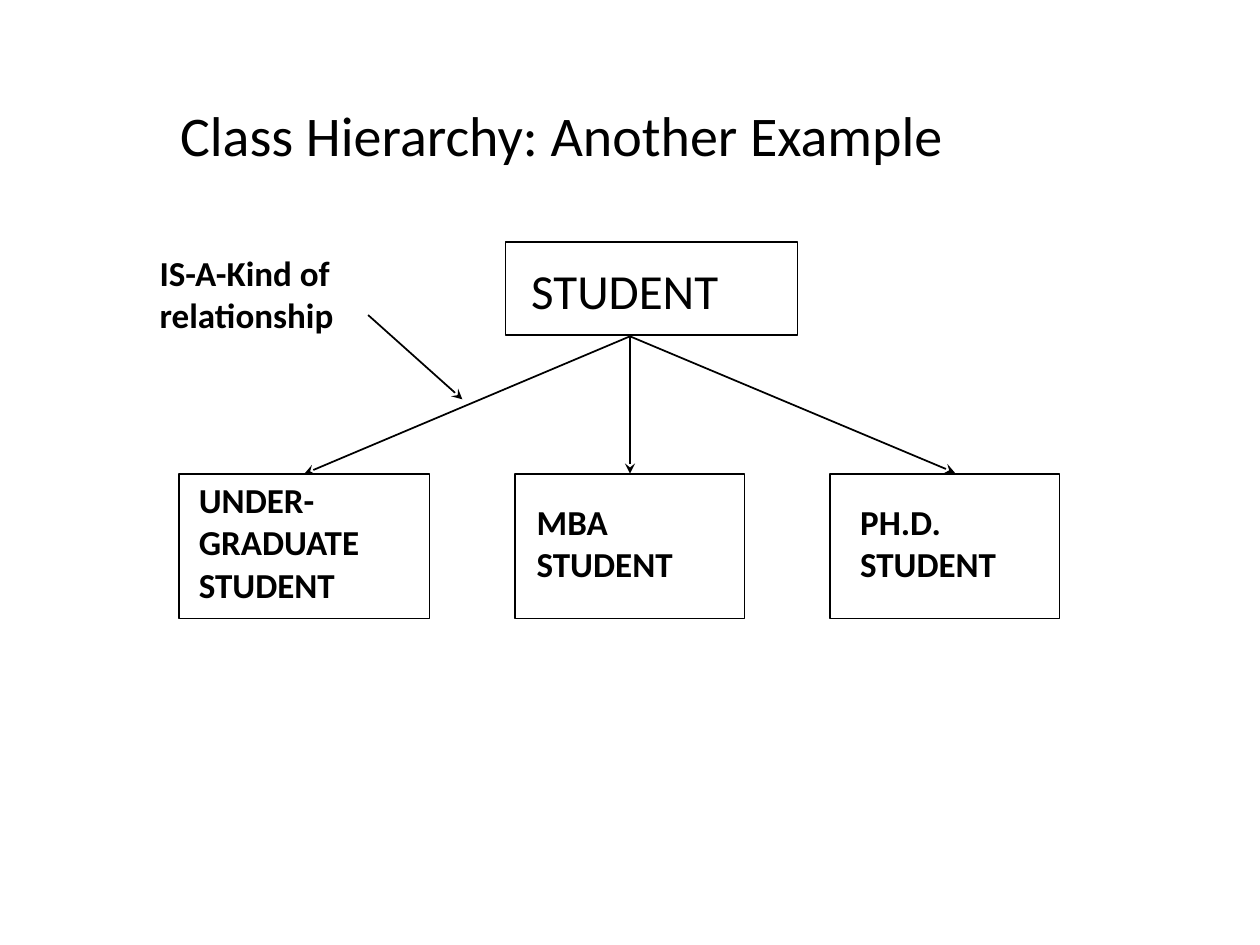
from lxml.etree import SubElement
from pptx import Presentation
from pptx.dml.color import RGBColor
from pptx.enum.shapes import MSO_CONNECTOR as Connector, MSO_SHAPE as Shape
from pptx.oxml.ns import qn
from pptx.util import Cm, Pt

BLACK = RGBColor(0x00, 0x00, 0x00)
WHITE = RGBColor(0xFF, 0xFF, 0xFF)


class Diagram:
    font = "Calibri"
    line_width = Pt(1)

    def __init__(self, slide):
        self.shapes = slide.shapes

    def box(self, x, y, w, h):
        sp = self.shapes.add_shape(Shape.RECTANGLE, Cm(x), Cm(y), Cm(w), Cm(h))
        sp.shadow.inherit = False
        sp.fill.solid()
        sp.fill.fore_color.rgb = WHITE
        sp.line.color.rgb = BLACK
        sp.line.width = self.line_width
        return sp

    def arrow(self, start, end, target=None):
        """Draw an arrow, joined to the top of target if one is given."""
        points = [Cm(v) for v in (*start, *end)]
        cxn = self.shapes.add_connector(Connector.STRAIGHT, *points)
        if target is not None:
            cxn.end_connect(target, 0)
        cxn.line.color.rgb = BLACK
        cxn.line.width = self.line_width
        SubElement(cxn.line._get_or_add_ln(), qn("a:tailEnd"), type="stealth")
        SubElement(cxn._element.spPr, qn("a:effectLst"))

    def text(self, text, x, y, w, h, size=20, bold=True):
        tf = self.shapes.add_textbox(Cm(x), Cm(y), Cm(w), Cm(h)).text_frame
        tf.word_wrap = True
        tf.text = text
        for p in tf.paragraphs:
            for r in p.runs:
                r.font.name = self.font
                r.font.size = Pt(size)
                r.font.bold = bold
                r.font.color.rgb = BLACK


def main():
    prs = Presentation()
    prs.slide_width, prs.slide_height = Cm(25.4), Cm(19.05)
    d = Diagram(prs.slides.add_slide(prs.slide_layouts[6]))

    d.box(10.19, 4.88, 5.89, 1.88)
    undergraduate, mba, _ = [
        d.box(x, 9.55, w, 2.92)
        for x, w in ((3.61, 5.05), (10.39, 4.62), (16.74, 4.62))
    ]

    root = (12.7, 6.78)
    for x, target in ((12.7, mba), (6.15, undergraduate), (19.25, None)):
        d.arrow(root, (x, 9.53), target)

    d.text("STUDENT", 10.46, 5.13, 5.18, 1.45, size=28, bold=False)
    d.text("UNDER-GRADUATE\nSTUDENT", 3.76, 9.53, 5.54, 2.79)
    d.text("MBA STUDENT", 10.57, 9.96, 4.27, 1.96)
    d.text("PH.D.\nSTUDENT", 17.09, 9.96, 3.86, 1.96)

    d.text("IS-A-Kind of relationship", 2.97, 4.95, 5.92, 3.73)
    d.arrow((7.42, 6.35), (9.32, 8.05))
    d.text("Class Hierarchy: Another Example", 3.38, 1.91, 17.75, 1.6,
           size=32, bold=False)

    prs.save("out.pptx")


if __name__ == "__main__":
    main()
